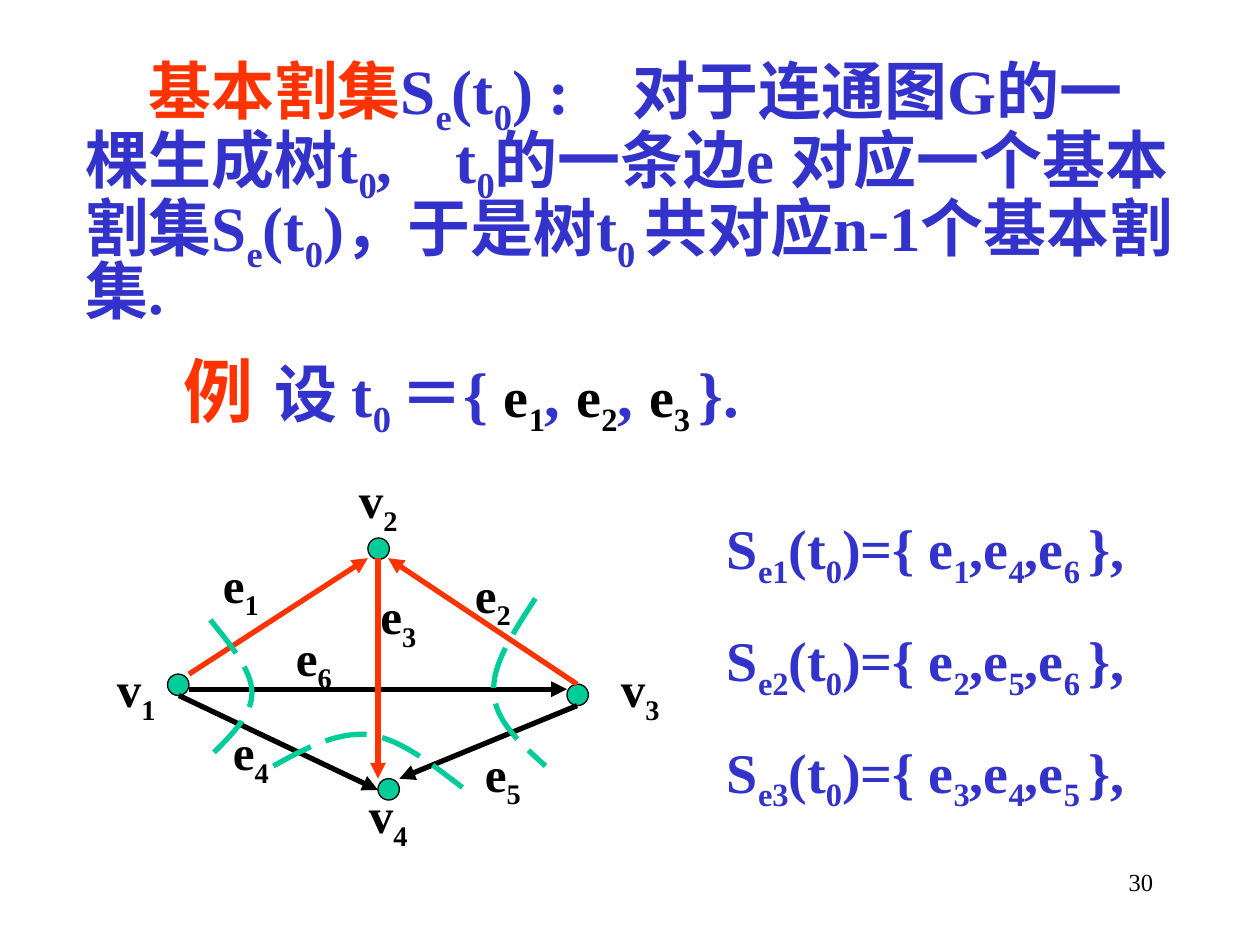
from lxml import etree
from pptx import Presentation
from pptx.dml.color import RGBColor
from pptx.enum.dml import MSO_LINE
from pptx.enum.shapes import MSO_CONNECTOR, MSO_SHAPE
from pptx.enum.text import MSO_ANCHOR, MSO_AUTO_SIZE, PP_ALIGN
from pptx.oxml.ns import qn
from pptx.util import Inches, Pt

STRAIGHT = MSO_CONNECTOR.STRAIGHT
OVAL = MSO_SHAPE.OVAL
LONG_DASH = MSO_LINE.LONG_DASH
TOP = MSO_ANCHOR.TOP
NO_AUTOFIT = MSO_AUTO_SIZE.NONE
LEFT, RIGHT = PP_ALIGN.LEFT, PP_ALIGN.RIGHT

FONT = "Times New Roman"
BLUE, RED, BLACK, GREEN = "3333CC", "FF3300", "000000", "00CC99"
NODE_SIZE = 0.17
LABEL_SIZE = (0.67, 0.63)

NODES = [(0.5, 1.67), (2.09, 0.59), (3.67, 1.75), (2.17, 2.5)]
EDGES = [
    ((0.67, 1.67), (2.09, 0.75), RED),
    ((0.67, 1.79), (3.67, 1.79), BLACK),
    ((0.59, 1.84), (2.17, 2.59), BLACK),
    ((2.17, 0.75), (2.17, 2.5), RED),
    ((3.75, 1.75), (2.25, 0.75), RED),
    ((3.75, 1.92), (2.34, 2.5), BLACK),
]
LABELS = {
    "v|1": (0, 1.5), "v|4": (2, 2.5), "v|3": (4, 1.5), "v|2": (1.92, 0),
    "e|1": (0.84, 0.67), "e|6": (1.42, 1.25), "e|4": (0.92, 2),
    "e|3": (2.09, 0.92), "e|5": (2.92, 2.17), "e|2": (2.84, 0.75),
}
CUTS = [
    [(0.84, 1.24), (1, 1.44), (1.17, 1.64), (1.17, 1.82),
     (1.17, 2), (1, 2.16), (0.84, 2.32)],
    [(3.42, 1.07), (3.25, 1.33), (3.07, 1.6), (3.09, 1.82),
     (3.1, 2.04), (3.3, 2.22), (3.5, 2.4)],
    [(1.34, 2.4), (1.59, 2.26), (1.84, 2.13), (2.09, 2.15),
     (2.34, 2.18), (2.59, 2.38), (2.84, 2.57)],
]
CUT_SETS = [(1, 4, 6), (2, 5, 6), (3, 4, 5)]


def rgb(color):
    return RGBColor.from_string(color)


def add_runs(paragraph, marked_text, size, color, bold=True):
    for position, piece in enumerate(marked_text.split("|")):
        if not piece:
            continue
        run = paragraph.add_run()
        run.text = piece
        style = {"name": FONT, "size": Pt(size), "bold": bold}
        for attribute, value in style.items():
            setattr(run.font, attribute, value)
        run.font.color.rgb = rgb(color)
        if position % 2:
            run.font._element.set("baseline", "-25000")


def set_frame(frame):
    style = {"word_wrap": True, "auto_size": NO_AUTOFIT, "vertical_anchor": TOP}
    for attribute, value in style.items():
        setattr(frame, attribute, value)


def add_text(shapes, box, marked_lines, size, color, bold=True, align=LEFT, gap=0):
    frame = shapes.add_textbox(*map(Inches, box)).text_frame
    set_frame(frame)
    for index, marked_text in enumerate(marked_lines):
        paragraph = frame.add_paragraph() if index else frame.paragraphs[0]
        paragraph.alignment = align
        paragraph.space_before = Pt(gap if index else 0)
        add_runs(paragraph, marked_text, size, color, bold)


def format_paragraph(paragraph, indent, space_before, tab=None):
    properties = paragraph._p.get_or_add_pPr()
    properties.set("marL", "0")
    properties.set("indent", str(Inches(indent)))
    etree.SubElement(properties, qn("a:buNone"))
    if tab:
        stops = etree.SubElement(properties, qn("a:tabLst"))
        etree.SubElement(stops, qn("a:tab"), pos=str(Inches(tab)), algn="l")
    style = {"line_spacing": 0.8, "space_before": Pt(space_before), "alignment": LEFT}
    for attribute, value in style.items():
        setattr(paragraph, attribute, value)


def fill_definition(body, box):
    for attribute, value in zip(("left", "top", "width", "height"), box):
        setattr(body, attribute, Inches(value))
    frame = body.text_frame
    set_frame(frame)

    definition = frame.paragraphs[0]
    format_paragraph(definition, 0.5, 0)
    add_runs(definition, "基本割集", 36, RED)
    add_runs(definition, "S|e|(t|0|) :\u3000对于连通图G的一棵生成树t|0|,\u3000t|0|的一条边e 对应一个"
             "基本割集S|e|(t|0|)，于是树t|0 |共对应n-1个基本割集.", 36, BLUE)

    example = frame.add_paragraph()
    format_paragraph(example, 0.78, 18, tab=1.97)
    add_runs(example, "例\t", 40, RED)
    add_runs(example, "设 t|0 |＝{ ", 36, BLUE)
    for edge, separator in (("e|1", ", "), ("e|2", ", "), ("e|3 ", "}.")):
        add_runs(example, edge, 32, BLACK)
        add_runs(example, separator, 36, BLUE)


def add_edge(shapes, start, end, color):
    edge = shapes.add_connector(STRAIGHT, *start, *end)
    edge.line.color.rgb = rgb(color)
    edge.line.width = Pt(3)
    etree.SubElement(edge.line._get_or_add_ln(), qn("a:tailEnd"), type="triangle")
    etree.SubElement(edge._element.spPr, qn("a:effectLst"))


def add_cut(shapes, points):
    builder = shapes.build_freeform(*points[0])
    builder.add_line_segments(points[1:], close=False)
    cut = builder.convert_to_shape()
    segments = list(cut._element.iter(qn("a:lnTo")))
    for first in range(0, len(segments), 3):
        curve = etree.Element(qn("a:cubicBezTo"))
        segments[first].addprevious(curve)
        for segment in segments[first:first + 3]:
            curve.append(segment[0])
            segment.getparent().remove(segment)
    cut.shadow.inherit = False
    cut.fill.background()
    cut.line.color.rgb = rgb(GREEN)
    cut.line.width = Pt(3)
    cut.line.dash_style = LONG_DASH


def add_graph(slide, left, top):
    shapes = slide.shapes.add_group_shape().shapes

    def place(point):
        return Inches(left + point[0]), Inches(top + point[1])

    for point in NODES:
        node = shapes.add_shape(OVAL, *place(point), Inches(NODE_SIZE), Inches(NODE_SIZE))
        node.shadow.inherit = False
        node.fill.solid()
        node.fill.fore_color.rgb = rgb(GREEN)
        node.line.color.rgb = rgb(BLACK)
        node.line.width = Pt(0.75)
    for start, end, color in EDGES:
        add_edge(shapes, place(start), place(end), color)
    for label, (x, y) in LABELS.items():
        add_text(shapes, (left + x, top + y, *LABEL_SIZE), [label], 28, BLACK)
    for points in CUTS:
        add_cut(shapes, [place(point) for point in points])


def add_cut_sets(slide, box):
    lines = [f"S|e{a}|(t|0|)={{ e|{a}|,e|{b}|,e|{c} |}}," for a, b, c in CUT_SETS]
    add_text(slide.shapes, box, lines, 32, BLUE, gap=20)


def main():
    deck = Presentation()
    deck.slide_width, deck.slide_height = Inches(10), Inches(7.5)
    slide = deck.slides.add_slide(deck.slide_layouts[1])
    title = slide.shapes.title.element
    title.getparent().remove(title)
    fill_definition(slide.placeholders[1], (0.58, 0.42, 8.92, 3.17))
    add_cut_sets(slide, (5.67, 4.03, 3.75, 2.48))
    add_graph(slide, 0.83, 3.68)
    add_text(slide.shapes, (7.17, 6.83, 2.08, 0.5), ["30"], 14, BLACK, bold=False, align=RIGHT)
    deck.save("out.pptx")


if __name__ == "__main__":
    main()
